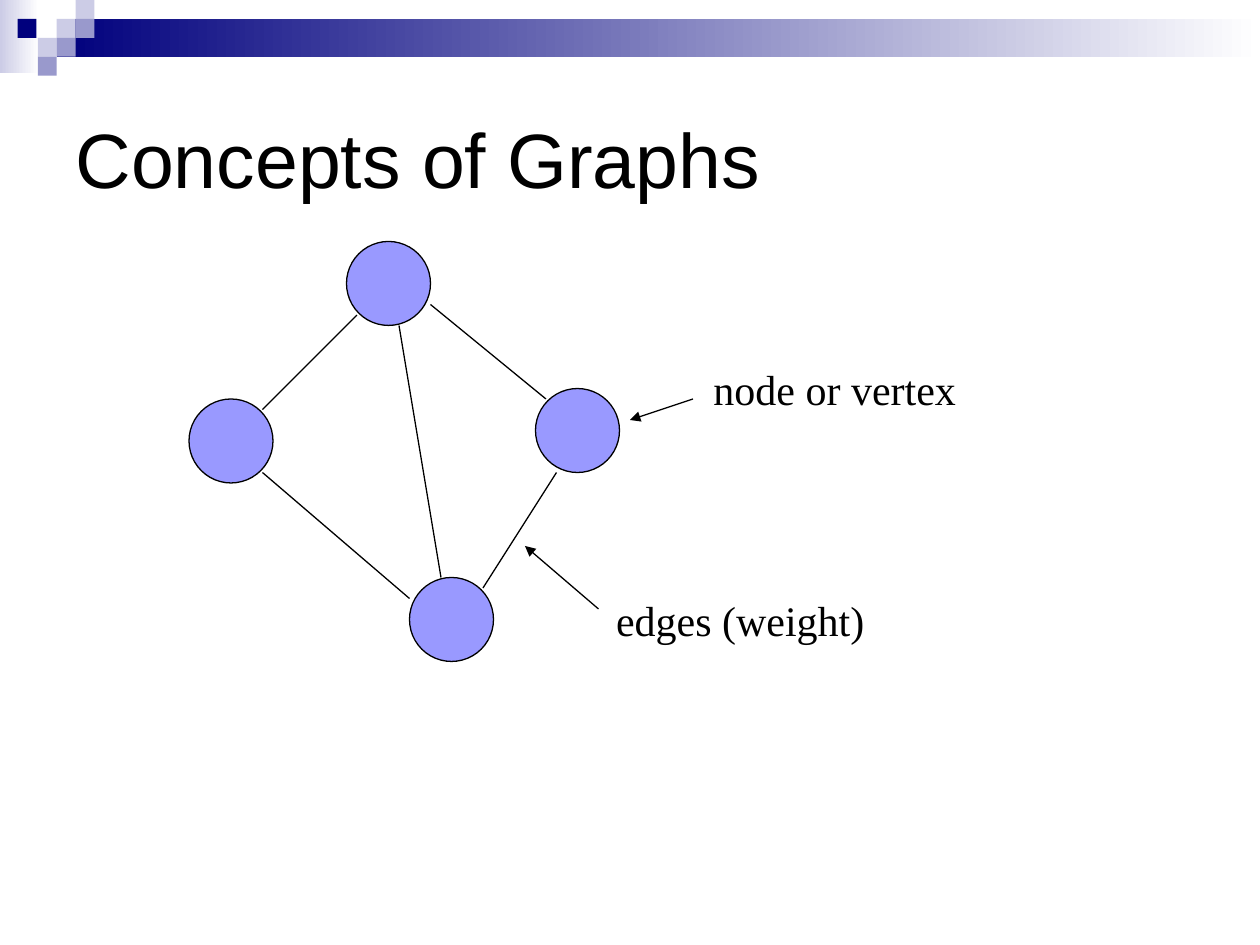
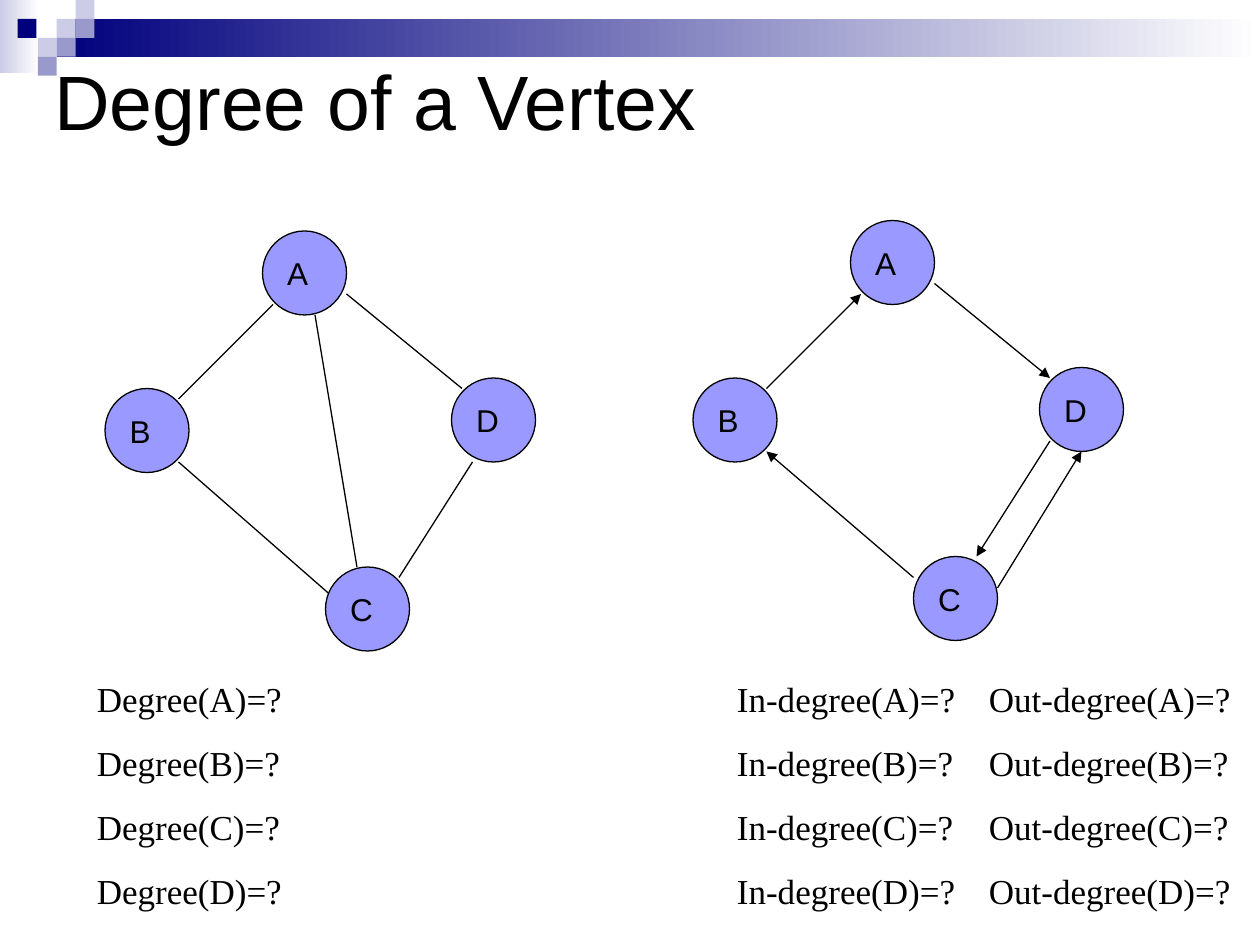
from lxml import etree
from pptx import Presentation, util as u
from pptx.dml.color import RGBColor
from pptx.enum import shapes, text
from pptx.oxml.ns import qn

WIDTH, HEIGHT = 10, 7.5
UNIT = 1 / 12
NODE = 8
TILE = 0.15
COLOURS = {"ink": "000000", "navy": "00007D", "mid": "9999CC",
           "pale": "CCCCE6", "white": "FFFFFF", "node": "9999FF"}

BANDS = [((0, 0, 0.31, 0.58), "pale"),
         ((3 * TILE, TILE, WIDTH - 3 * TILE, 2 * TILE), "navy")]
TILES = [(3, 1, "pale"), (4, 0, "pale"), (4, 1, "mid"), (2, 2, "pale"),
         (0.93, 1, "navy"), (3, 2, "mid"), (2, 3, "mid")]

NODES = {"A": (15, 0), "D": (33, 14), "C": (21, 32), "B": (0, 15)}
B_TO_A = ((7, 16), (16, 7))
A_TO_D = ((23, 6), (34, 15))
A_TO_C = ((20, 8), (24, 32))
C_TO_B = ((21, 34), (7, 22))
C_TO_D = ((28, 33), (35, 22))
C_INSIDE_TO_B = ((23, 36), (7, 22))
TWO_WAY = [((29, 35), (37, 22)), ((34, 21), (27, 32))]

CONCEPTS = {
    "title": ("Concepts of Graphs", (0.5, 0.5, 9, 1.5)),
    "graphs": [dict(origin=(18, 23), edges=[B_TO_A, C_TO_B, C_TO_D, A_TO_C, A_TO_D])],
    "callouts": [("edges (weight)", (58, 54), ((57, 58), (50, 52))),
                 ("node or vertex", (67, 32), ((66, 38), (60, 40)))],
}
DEGREES = {
    "title": ("Degree of a Vertex", (0.33, 0.17, 9.33, 1.25)),
    "graphs": [
        dict(origin=(10, 22), lettered=True,
             edges=[C_INSIDE_TO_B, B_TO_A, C_TO_D, A_TO_C, A_TO_D]),
        dict(origin=(66, 21), lettered=True, directed=True,
             edges=[B_TO_A, C_TO_B, A_TO_D, *TWO_WAY]),
    ],
    "questions": [("Degree({0})=?", 0.67, 2.58),
                  ("In-degree({0})=?\tOut-degree({0})=?", 5.75, 4.25)],
}


def colour(name):
    return RGBColor.from_string(COLOURS[name])


def inches(*lengths):
    return [u.Inches(length) for length in lengths]


def on_grid(*steps):
    return inches(*(step * UNIT for step in steps))


def write(frame, content, size=18, font="Arial", align=text.PP_ALIGN.LEFT,
          anchor=text.MSO_ANCHOR.MIDDLE, wrap=True, before=0, tab=None):
    frame.auto_size = text.MSO_AUTO_SIZE.NONE
    frame.word_wrap = wrap
    frame.vertical_anchor = anchor
    frame.text = content
    for paragraph in frame.paragraphs:
        paragraph.alignment = align
        paragraph.space_before = u.Pt(before)
        paragraph.font.size = u.Pt(size)
        if tab:
            stops = etree.SubElement(paragraph._p.get_or_add_pPr(), qn("a:tabLst"))
            etree.SubElement(stops, qn("a:tab"), pos=str(u.Inches(tab)), algn="l")
        for run in paragraph.runs:
            run.font.size = u.Pt(size)
            run.font.name = font
            run.font.color.rgb = colour("ink")


def add_plain(slide, preset, box):
    plain = slide.shapes.add_shape(preset, *box)
    plain.shadow.inherit = False
    plain.line.fill.background()
    return plain


def decorate_master(deck, slide):
    parts = []
    for box, start in BANDS:
        band = add_plain(slide, shapes.MSO_SHAPE.RECTANGLE, inches(*box))
        band.fill.gradient()
        band.fill.gradient_angle = 0
        for stop, name in zip(band.fill.gradient_stops, (start, "white")):
            stop.color.rgb = colour(name)
        parts.append(band)
    for column, row, name in TILES:
        tile = add_plain(slide, shapes.MSO_SHAPE.RECTANGLE,
                         inches(column * TILE, row * TILE, TILE, TILE))
        tile.fill.solid()
        tile.fill.fore_color.rgb = colour(name)
        parts.append(tile)
    for part in parts:
        deck.slide_master.shapes.element.append(part.element)


def add_edge(slide, start, end, arrow=False):
    edge = slide.shapes.add_connector(shapes.MSO_CONNECTOR.STRAIGHT,
                                      *on_grid(*start, *end))
    edge.line.color.rgb = colour("ink")
    edge.line.width = u.Pt(0.75)
    if arrow:
        etree.SubElement(edge.line._get_or_add_ln(), qn("a:tailEnd"), type="triangle")
    etree.SubElement(edge.element.spPr, qn("a:effectLst"))


def add_graph(slide, origin, edges, lettered=False, directed=False):
    left, top = origin
    for ends in edges:
        start, end = [(left + x, top + y) for x, y in ends]
        add_edge(slide, start, end, directed)
    for letter, (x, y) in NODES.items():
        node = add_plain(slide, shapes.MSO_SHAPE.OVAL,
                         on_grid(left + x, top + y, NODE, NODE))
        node.fill.solid()
        node.fill.fore_color.rgb = colour("node")
        node.line.color.rgb = colour("ink")
        node.line.width = u.Pt(0.75)
        if lettered:
            write(node.text_frame, letter, wrap=False)


def add_slide(deck, content):
    slide = deck.slides.add_slide(deck.slide_layouts[5])
    heading, box = content["title"]
    title = slide.shapes.title
    title.left, title.top, title.width, title.height = inches(*box)
    write(title.text_frame, heading, size=44)
    for graph in content["graphs"]:
        add_graph(slide, **graph)
    for label, corner, (start, end) in content.get("callouts", []):
        add_edge(slide, start, end, arrow=True)
        callout = slide.shapes.add_textbox(*on_grid(*corner, 25, 10))
        write(callout.text_frame, label, size=24, font="Times New Roman",
              align=text.PP_ALIGN.CENTER, wrap=False)
    for pattern, left, width in content.get("questions", []):
        questions = slide.shapes.add_textbox(*inches(left, 5.33, width, 1.96))
        write(questions.text_frame, "\n".join(map(pattern.format, sorted(NODES))),
              size=20, font="Times New Roman", anchor=text.MSO_ANCHOR.TOP,
              before=12.5, tab=2 if "\t" in pattern else None)
    return slide


def main():
    deck = Presentation()
    deck.slide_width, deck.slide_height = inches(WIDTH, HEIGHT)
    concepts = add_slide(deck, CONCEPTS)
    decorate_master(deck, concepts)
    add_slide(deck, DEGREES)
    deck.save("out.pptx")


if __name__ == "__main__":
    main()
